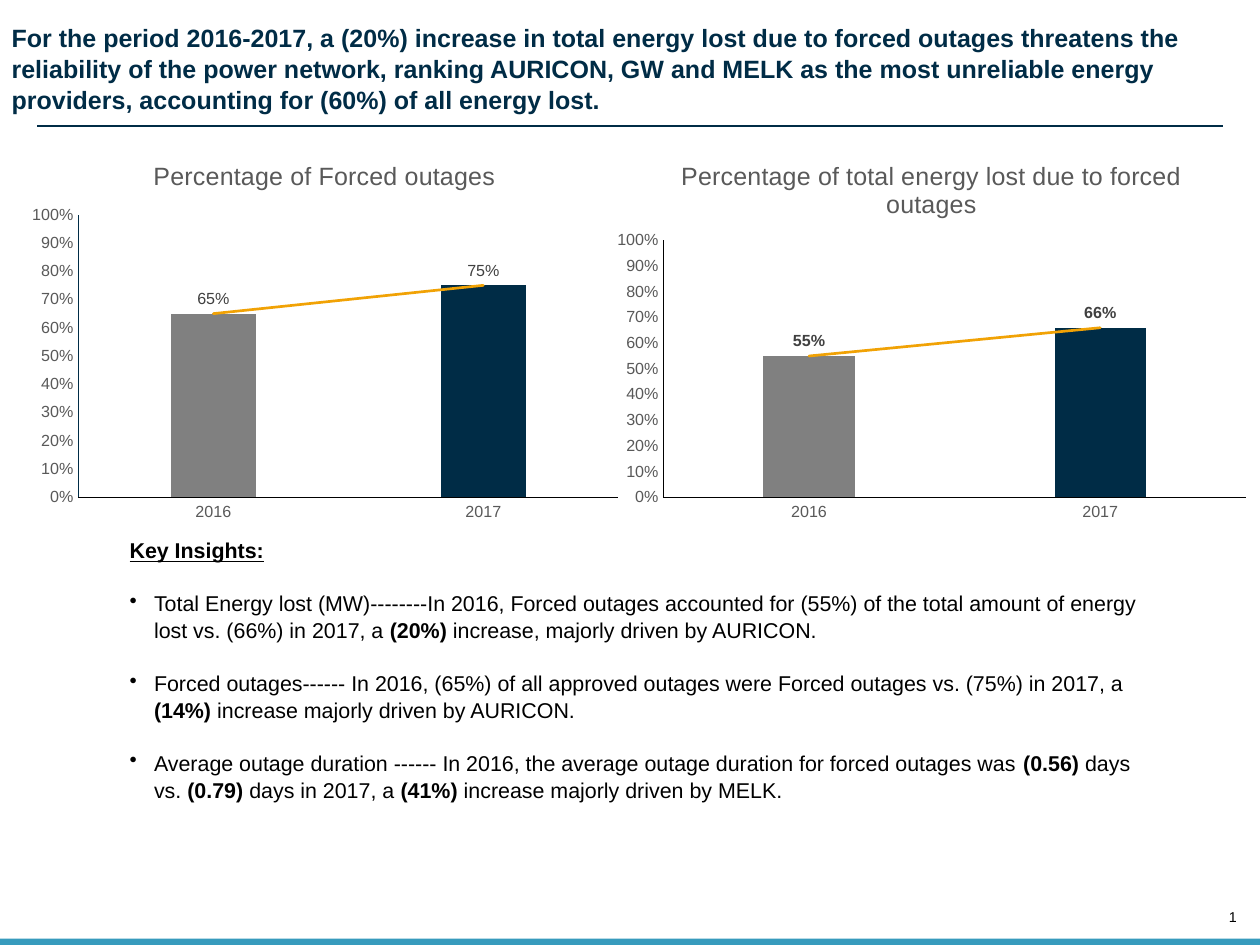
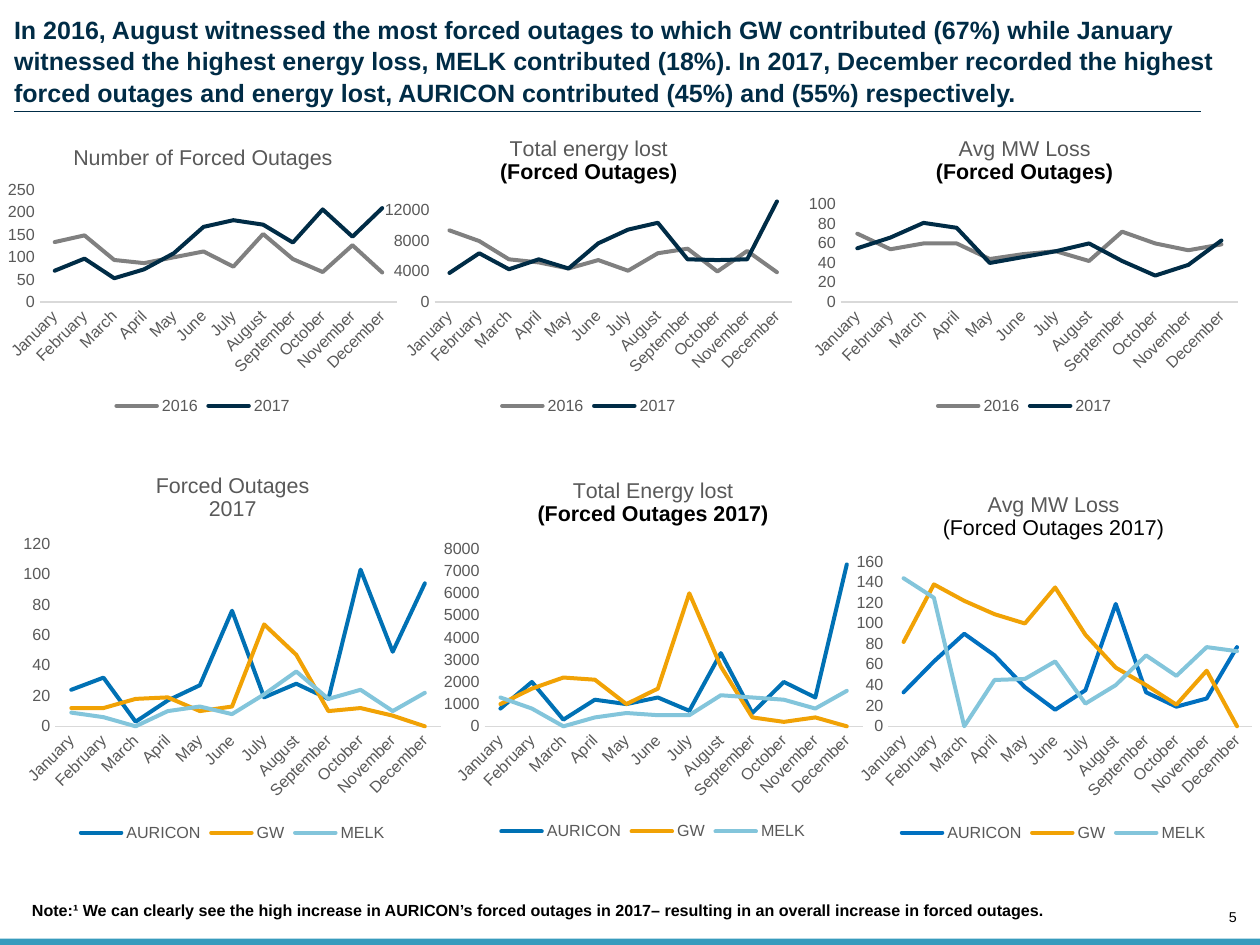
"""Build two slides on forced power outages in 2016 and 2017."""
import dataclasses

import pptx
import pptx.chart.data
import pptx.dml.color
import pptx.enum.chart
import pptx.enum.shapes
import pptx.enum.text
import pptx.oxml
import pptx.oxml.ns
import pptx.util

Inches = pptx.util.Inches
Pt = pptx.util.Pt


@dataclasses.dataclass(frozen=True)
class Theme:
    """Hold the colours and type sizes."""
    font: str = "Arial"
    navy: str = "002C46"
    black: str = "000000"
    gray: str = "808080"
    axis_text: str = "595959"
    label_text: str = "404040"
    axis_line: str = "D9D9D9"
    band: str = "379BBD"
    blue: str = "0071B4"
    bright_blue: str = "0070C0"
    orange: str = "F1A205"
    sky: str = "83C5DB"
    title_size: float = 14
    body_size: float = 12
    small_size: float = 9
    number_size: float = 8
    line_spacing: float = 1.05


class Report:
    """Hold the style and the current page, and draw each kind of element."""

    def __init__(self, theme):
        self.theme = theme
        self.deck = pptx.Presentation()
        self.deck.slide_width = Inches(9.8)
        self.deck.slide_height = Inches(7.35)
        self.page = None

    def colour(self, value):
        return pptx.dml.color.RGBColor.from_string(value)

    def style(self, font, size, colour, bold=False):
        font.name = self.theme.font
        font.size = Pt(size)
        font.bold = bold
        font.color.rgb = self.colour(colour)

    def stroke(self, line, colour, width=0.75):
        line.color.rgb = self.colour(colour)
        line.width = Pt(width)

    def add_page(self, number, title, title_box, rule):
        self.page = self.deck.slides.add_slide(self.deck.slide_layouts[6])
        band = self.page.shapes.add_shape(
            pptx.enum.shapes.MSO_SHAPE.RECTANGLE,
            0, Inches(7.3), self.deck.slide_width, Inches(0.05))
        band.shadow.inherit = False
        band.fill.solid()
        band.fill.fore_color.rgb = self.colour(self.theme.band)
        band.line.fill.background()
        frame = self.text((9.48, 7.07, 0.14, 0.13), [number], self.theme.number_size, inset=False)
        frame.vertical_anchor = pptx.enum.text.MSO_ANCHOR.BOTTOM
        frame.paragraphs[0].alignment = pptx.enum.text.PP_ALIGN.RIGHT
        self.text(title_box, [title], self.theme.title_size, self.theme.navy, True, False)
        self.rule(*rule)

    def rule(self, left, right, top):
        line = self.page.shapes.add_connector(
            pptx.enum.shapes.MSO_CONNECTOR.STRAIGHT,
            Inches(left), Inches(top), Inches(right), Inches(top))
        self.stroke(line.line, self.theme.navy)
        line.element.spPr.append(pptx.oxml.parse_xml(
            f'<a:effectLst {pptx.oxml.ns.nsdecls("a")}/>'))

    def text(self, box, lines, size, colour="000000", bold=False, inset=True):
        shape = self.page.shapes.add_textbox(*map(Inches, box))
        frame = shape.text_frame
        frame.word_wrap = True
        if not inset:
            frame.margin_left = frame.margin_right = 0
            frame.margin_top = frame.margin_bottom = 0
        frame.text = "\n".join(lines)
        for para in frame.paragraphs:
            para.line_spacing = self.theme.line_spacing
            for span in para.runs:
                self.style(span.font, size, colour, bold)
        return frame

    def insights(self, box, heading, bullets):
        """Write a heading and bullets whose odd pieces between bars are bold."""
        size = self.theme.body_size
        frame = self.text(box, [heading], size, bold=True)
        frame.paragraphs[0].runs[0].font.underline = True
        for bullet in bullets:
            para = frame.add_paragraph()
            para.line_spacing = self.theme.line_spacing
            para.space_before = Pt(14.5)
            for index, piece in enumerate(bullet.split("|")):
                span = para.add_run()
                span.text = piece
                self.style(span.font, size, self.theme.black, index % 2 == 1)
            properties = para._p.get_or_add_pPr()
            properties.set("marL", str(Inches(0.19)))
            properties.set("indent", str(-Inches(0.19)))
            properties.append(pptx.oxml.parse_xml(
                f'<a:buChar {pptx.oxml.ns.nsdecls("a")} char="\u2022"/>'))

    def chart(self, kind, box, plot, title, title_size, categories, series, scale):
        """Add a titled chart; title lines are (text, colour, bold)."""
        chart_data = pptx.chart.data.CategoryChartData()
        chart_data.categories = categories
        for name, values in series:
            chart_data.add_series(name, values)
        chart = self.page.shapes.add_chart(kind, *map(Inches, box), chart_data).chart
        self.style(chart.font, 10, self.theme.black)
        chart.has_legend = False
        chart.has_title = True
        frame = chart.chart_title.text_frame
        frame.text = "\n".join(line[0] for line in title)
        for para, (_, colour, bold) in zip(frame.paragraphs, title):
            self.style(para.runs[0].font, title_size, colour, bold)
        chart.chart_title.include_in_layout = False
        for axis in (chart.category_axis, chart.value_axis):
            axis.has_major_gridlines = False
            axis.major_tick_mark = pptx.enum.chart.XL_TICK_MARK.NONE
            axis.minor_tick_mark = pptx.enum.chart.XL_TICK_MARK.NONE
            self.style(axis.tick_labels.font, self.theme.small_size, self.theme.axis_text)
        chart.value_axis.minimum_scale = 0
        chart.value_axis.maximum_scale, chart.value_axis.major_unit = scale
        chart.plots[0].vary_by_categories = False
        self.place_plot(chart, box, plot)
        return chart

    def place_plot(self, chart, box, plot):
        """Fix the inner plot area, given in inches on the page."""
        left, top, width, height = box
        fractions = {
            "x": (plot[0] - left) / width, "y": (plot[1] - top) / height,
            "w": plot[2] / width, "h": plot[3] / height}
        modes = "".join(f'<c:{side}Mode val="edge"/>' for side in "xy")
        sizes = "".join(f'<c:{key} val="{value:.4f}"/>' for key, value in fractions.items())
        area = chart.element.xpath("c:chart/c:plotArea")[0]
        for layout in area.xpath("c:layout"):
            area.remove(layout)
        area.insert(0, pptx.oxml.parse_xml(
            f'<c:layout {pptx.oxml.ns.nsdecls("c")}><c:manualLayout>'
            f'<c:layoutTarget val="inner"/>{modes}{sizes}</c:manualLayout></c:layout>'))

    def share_chart(self, box, plot, title, values, value_line, bold_labels):
        """Add two columns with percentages and a linear trend."""
        theme = self.theme
        chart = self.chart(
            pptx.enum.chart.XL_CHART_TYPE.COLUMN_CLUSTERED, box, plot,
            [(title, theme.axis_text, False)], theme.title_size,
            ["2016", "2017"], [("Series 1", values)], (1, 0.1))
        chart.value_axis.tick_labels.number_format = "0%"
        chart.value_axis.tick_labels.number_format_is_linked = False
        self.stroke(chart.category_axis.format.line, theme.black)
        self.stroke(chart.value_axis.format.line, value_line)
        bars = chart.plots[0]
        bars.gap_width = 219
        bars.overlap = -27
        columns = bars.series[0]
        for index, colour in enumerate((theme.gray, theme.navy)):
            fill = columns.points[index].format.fill
            fill.solid()
            fill.fore_color.rgb = self.colour(colour)
        labels = columns.data_labels
        labels.show_value = True
        labels.number_format = "0%"
        labels.number_format_is_linked = False
        labels.position = pptx.enum.chart.XL_LABEL_POSITION.OUTSIDE_END
        self.style(labels.font, theme.small_size, theme.label_text, bold_labels)
        chart.element.xpath(".//c:ser/c:cat")[0].addprevious(pptx.oxml.parse_xml(
            f'<c:trendline {pptx.oxml.ns.nsdecls("c", "a")}><c:spPr>'
            f'<a:ln w="{Pt(1.5)}" cap="rnd"><a:solidFill><a:srgbClr val="{theme.orange}"/>'
            '</a:solidFill></a:ln></c:spPr><c:trendlineType val="linear"/>'
            '<c:dispRSqr val="0"/><c:dispEq val="0"/></c:trendline>'))

    def month_chart(self, box, plot, title, scale, series, colours):
        """Add monthly lines with a legend below."""
        theme = self.theme
        chart = self.chart(
            pptx.enum.chart.XL_CHART_TYPE.LINE, box, plot, title,
            theme.body_size, MONTHS, series, scale)
        self.stroke(chart.category_axis.format.line, theme.axis_line)
        chart.value_axis.format.line.fill.background()
        chart.value_axis.tick_labels.number_format = "General"
        chart.value_axis.tick_labels.number_format_is_linked = False
        chart.element.xpath(".//c:catAx/c:txPr/a:bodyPr")[0].set("rot", "-2700000")
        chart.has_legend = True
        chart.legend.position = pptx.enum.chart.XL_LEGEND_POSITION.BOTTOM
        chart.legend.include_in_layout = False
        self.style(chart.legend.font, theme.small_size, theme.axis_text)
        for line, colour in zip(chart.plots[0].series, colours):
            line.smooth = False
            self.stroke(line.format.line, colour, 2.25)
        for outline in chart.element.xpath(".//c:ser/c:spPr/a:ln"):
            outline.set("cap", "rnd")


MONTHS = ["January", "February", "March", "April", "May", "June", "July",
          "August", "September", "October", "November", "December"]
YEARS = ("2016", "2017")
PROVIDERS = ("AURICON", "GW", "MELK")

theme = Theme()
report = Report(theme)

report.add_page(
    "1",
    "For the period 2016-2017, a (20%) increase in total energy lost due to forced outages "
    "threatens the reliability of the power network, ranking AURICON, GW and MELK as the most "
    "unreliable energy providers, accounting for (60%) of all energy lost.",
    (0.09, 0.16, 9.77, 0.71), (0.29, 9.51, 0.98))
report.insights((0.91, 4.12, 8.13, 2.12), "Key Insights:", [
    "Total Energy lost (MW)--------In 2016, Forced outages accounted for (55%) of the total "
    "amount of energy lost vs. (66%) in 2017, a |(20%) |increase, majorly driven by AURICON.",
    "Forced outages------ In 2016, (65%) of all approved outages were Forced outages vs. (75%) "
    "in 2017, a |(14%) |increase majorly driven by AURICON.",
    "Average outage duration ------ In 2016, the average outage duration for forced outages was "
    "|(0.56) |days vs. |(0.79) |days in 2017, a |(41%) |increase majorly driven by MELK."])
report.share_chart((0.15, 1.09, 4.75, 3.03), (0.61, 1.67, 4.2, 2.2),
                   "Percentage of Forced outages", (0.65, 0.75), theme.navy, False)
report.share_chart((4.7, 1.09, 5.09, 3.03), (5.16, 1.87, 4.53, 2),
                   "Percentage of total energy lost due to forced outages",
                   (0.55, 0.66), theme.black, True)

report.add_page(
    "5",
    "In 2016, August witnessed the most forced outages to which GW contributed (67%) while "
    "January witnessed the highest energy loss, MELK contributed (18%). In 2017, December "
    "recorded the highest forced outages and energy lost, AURICON contributed (45%) and (55%) "
    "respectively.",
    (0.11, 0.1, 9.43, 0.71), (0.11, 9.34, 0.87))
report.text((0.15, 6.95, 9.31, 0.25), [
    "Note:\u00b9 We can clearly see the high increase in AURICON\u2019s forced outages in "
    "2017\u2013 resulting in an overall increase in forced outages."],
    theme.small_size, bold=True)

year_colours = (theme.gray, theme.navy)
provider_colours = (theme.blue, theme.orange, theme.sky)
plain = (theme.axis_text, False)
strong = (theme.black, True)
month_charts = [
    ((0, 0.99, 3.16, 2.28), (0.31, 1.48, 2.78, 0.87),
     [("Number of Forced Outages", *plain)], (250, 50), YEARS, year_colours,
     [(134, 149, 94, 87, 100, 113, 79, 152, 96, 67, 127, 66),
      (70, 97, 53, 73, 109, 168, 183, 173, 133, 207, 146, 210)]),
    ((2.93, 0.92, 3.3, 2.35), (3.38, 1.52, 2.78, 0.83),
     [("Total energy lost", *plain), ("(Forced Outages)", *strong)],
     (14000, 4000), YEARS, year_colours,
     [(9400, 8000, 5600, 5200, 4400, 5500, 4100, 6400, 7000, 4000, 6700, 3900),
      (3800, 6400, 4300, 5600, 4400, 7700, 9500, 10400, 5600, 5500, 5600, 13200)]),
    ((6.23, 0.92, 3.48, 2.35), (6.54, 1.59, 3.09, 0.76),
     [("Avg MW Loss", *plain), ("(Forced Outages)", *strong)],
     (100, 20), YEARS, year_colours,
     [(70, 54, 60, 60, 44, 49, 52, 42, 72, 60, 53, 59),
      (55, 66, 81, 76, 40, 46, 52, 60, 42, 27, 38, 63)]),
    ((0.11, 3.53, 3.4, 3.06), (0.43, 4.23, 3, 1.42),
     [("Forced Outages", *plain), ("2017", *plain)], (120, 20), PROVIDERS, provider_colours,
     [(24, 32, 3, 17, 27, 76, 19, 28, 18, 103, 49, 94),
      (12, 12, 18, 19, 10, 13, 67, 47, 10, 12, 7, 0),
      (9, 6, 0, 10, 13, 8, 21, 36, 18, 24, 10, 22)]),
    ((3.38, 3.57, 3.4, 3.01), (3.77, 4.27, 2.94, 1.38),
     [("Total Energy lost", *plain), ("(Forced Outages 2017)", *strong)],
     (8000, 1000), PROVIDERS, provider_colours,
     [(800, 2000, 300, 1200, 1000, 1300, 700, 3300, 600, 2000, 1300, 7300),
      (1000, 1700, 2200, 2100, 1000, 1700, 6000, 2700, 400, 200, 400, 0),
      (1300, 800, 0, 400, 600, 500, 500, 1400, 1300, 1200, 800, 1600)]),
    ((6.59, 3.68, 3.21, 2.91), (6.91, 4.37, 2.83, 1.28),
     [("Avg MW Loss", *plain), ("(Forced Outages 2017)", theme.black, False)],
     (160, 20), PROVIDERS, (theme.bright_blue, theme.orange, theme.sky),
     [(33, 63, 90, 69, 38, 16, 35, 119, 33, 19, 27, 77),
      (82, 138, 122, 109, 100, 135, 89, 57, 40, 21, 54, 0),
      (144, 125, 0, 45, 46, 63, 22, 40, 69, 49, 77, 73)]),
]
for box, plot, title, scale, names, colours, values in month_charts:
    report.month_chart(box, plot, title, scale, list(zip(names, values)), colours)

report.deck.save("out.pptx")
